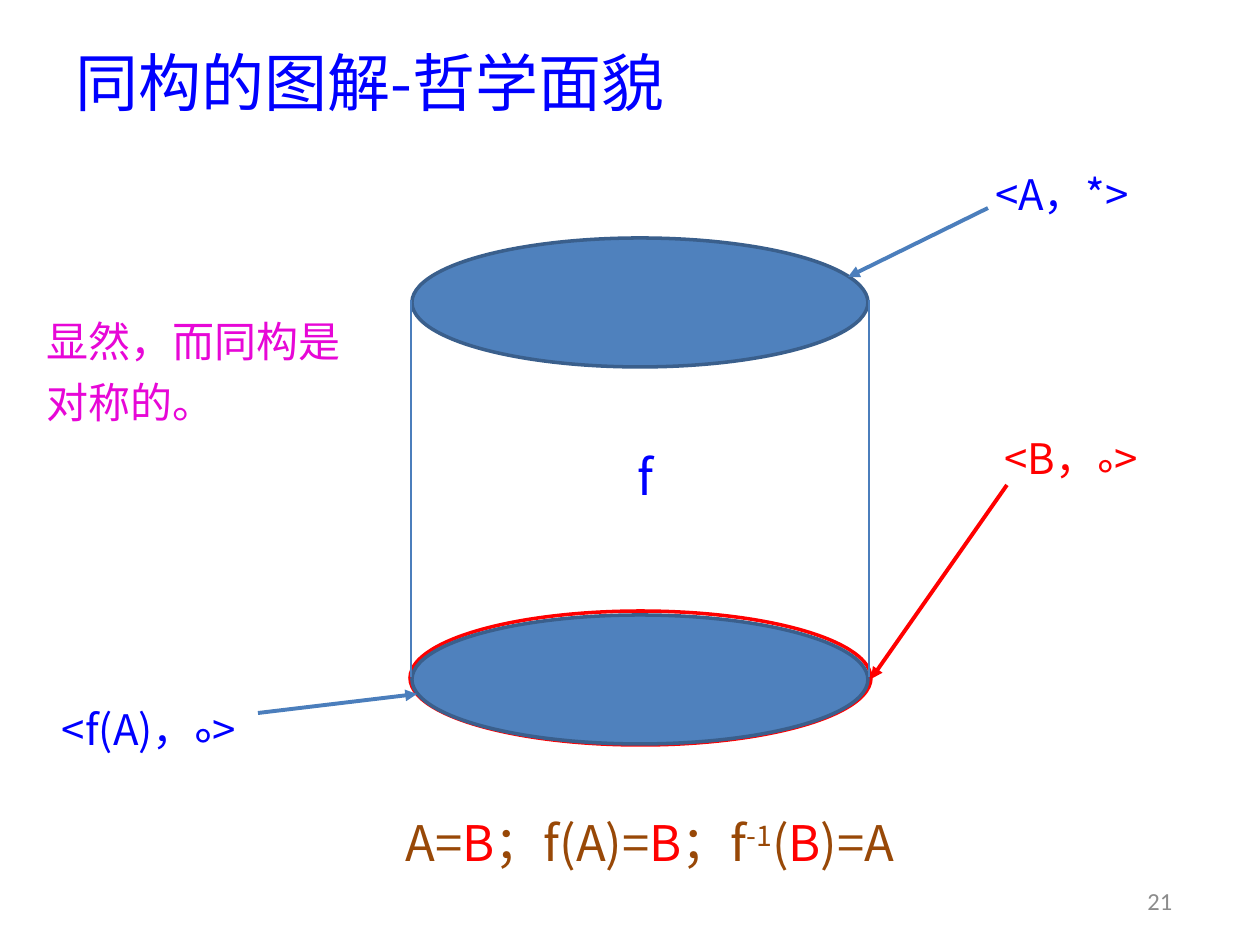
from dataclasses import dataclass
from typing import Optional

import pptx
import pptx.dml.color
import pptx.enum.shapes
import pptx.enum.text
import pptx.oxml.ns
import pptx.util
from lxml import etree

RGB = pptx.dml.color.RGBColor
ALIGN = pptx.enum.text.PP_ALIGN
BLUE = RGB(0x00, 0x00, 0xFF)
RED = RGB(0xFF, 0x00, 0x00)
BROWN = RGB(0x98, 0x48, 0x07)
MAGENTA = RGB(0xE7, 0x07, 0xD7)
GREY = RGB(0x8C, 0x8C, 0x8C)
DISC_FILL = RGB(0x4F, 0x81, 0xBD)
DISC_LINE = RGB(0x3A, 0x5F, 0x8C)
STEEL = RGB(0x4B, 0x7E, 0xBC)
CJK = "Noto Sans CJK SC"
PX_PER_INCH = 126


@dataclass
class Span:
    text: str
    color: RGB
    size: int = 24
    baseline: int = 0  # percent of the text size
    font: str = CJK


@dataclass
class Label:
    box: tuple[int, int, int, int]
    spans: list[Span]
    align: ALIGN = ALIGN.CENTER
    spacing: float = 1.0


@dataclass
class Disc:
    box: tuple[int, int, int, int]
    fill: Optional[RGB]
    line: RGB


@dataclass
class Line:
    start: tuple[int, int]
    end: tuple[int, int]
    color: RGB = STEEL
    width: float = 2.25
    arrow: bool = True


def px(n: int) -> pptx.util.Emu:
    return pptx.util.Emu(round(n * 914400 / PX_PER_INCH))


def add_label(s, label: Label) -> None:
    tf = s.shapes.add_textbox(*map(px, label.box)).text_frame
    tf.word_wrap = True
    tf.vertical_anchor = pptx.enum.text.MSO_ANCHOR.MIDDLE
    p = tf.paragraphs[0]
    p.alignment = label.align
    p.line_spacing = label.spacing
    for span in label.spans:
        r = p.add_run()
        r.text = span.text
        r.font.size = pptx.util.Pt(span.size)
        r.font.name = span.font
        r.font.color.rgb = span.color
        rpr = r.font._element
        etree.SubElement(rpr, pptx.oxml.ns.qn("a:ea"), typeface=span.font)
        if span.baseline:
            rpr.set("baseline", str(span.baseline * 1000))


def add_disc(s, disc: Disc) -> None:
    sp = s.shapes.add_shape(pptx.enum.shapes.MSO_SHAPE.OVAL, *map(px, disc.box))
    sp.shadow.inherit = False
    if disc.fill is None:
        sp.fill.background()
    else:
        sp.fill.solid()
        sp.fill.fore_color.rgb = disc.fill
    sp.line.color.rgb = disc.line
    sp.line.width = pptx.util.Pt(2)


def add_line(s, line: Line) -> None:
    cx = s.shapes.add_connector(
        pptx.enum.shapes.MSO_CONNECTOR.STRAIGHT, *map(px, line.start + line.end))
    cx.line.color.rgb = line.color
    cx.line.width = pptx.util.Pt(line.width)
    sp_pr = cx._element.spPr
    if line.arrow:
        etree.SubElement(sp_pr.get_or_add_ln(),
                         pptx.oxml.ns.qn("a:tailEnd"), type="triangle")
    etree.SubElement(sp_pr, pptx.oxml.ns.qn("a:effectLst"))


TITLE = Label((63, 28, 1134, 107), [Span("同构的图解-哲学面貌", BLUE, 36)], ALIGN.LEFT)

DISCS = [
    Disc((412, 238, 456, 129), DISC_FILL, DISC_LINE),
    Disc((410, 611, 461, 134), None, RED),
    Disc((412, 615, 456, 129), DISC_FILL, DISC_LINE),
]

CYLINDER_SIDES = [Line((x, 300), (x, 677), width=0.75, arrow=False)
                  for x in (411, 869)]

ARROWS = [
    Line((988, 208), (848, 277)),
    Line((258, 713), (417, 694)),
    Line((1007, 485), (871, 679), RED),
]

LABELS = [
    Label((15, 684, 268, 69),
          [Span("<f(A)，", BLUE), Span("°", BLUE, 48, -25), Span(">", BLUE)]),
    Label((898, 159, 328, 69), [Span("<A，*>", BLUE)]),
    Label((907, 416, 328, 69),
          [Span("<B，", RED), Span("°", RED, 44, -25), Span(">", RED)]),
    Label((561, 446, 169, 59), [Span("f", BLUE, 28)]),
    Label((362, 803, 576, 77), [
        Span("A=", BROWN, 28), Span("B", RED, 28),
        Span("；f(A)=", BROWN, 28), Span("B", RED, 28),
        Span("；f", BROWN, 28), Span("-1", BROWN, 28, 30),
        Span("(", BROWN, 28), Span("B", RED, 28), Span(")=A", BROWN, 28)]),
    Label((34, 300, 328, 132), [Span("显然，而同构是对称的。", MAGENTA)],
          ALIGN.LEFT, 1.2),
    Label((1123, 876, 74, 50), [Span("21", GREY, 14, font="Calibri")]),
]


def main() -> None:
    prs = pptx.Presentation()
    prs.slide_width, prs.slide_height = px(1260), px(945)
    s = prs.slides.add_slide(prs.slide_layouts[6])

    # Title
    add_label(s, TITLE)

    # Cylinder between the two structures
    for disc in DISCS:
        add_disc(s, disc)

    # Sides and pointers
    for line in CYLINDER_SIDES + ARROWS:
        add_line(s, line)

    # Labels, formula, remark and page number
    for label in LABELS:
        add_label(s, label)

    prs.save("out.pptx")


if __name__ == "__main__":
    main()
